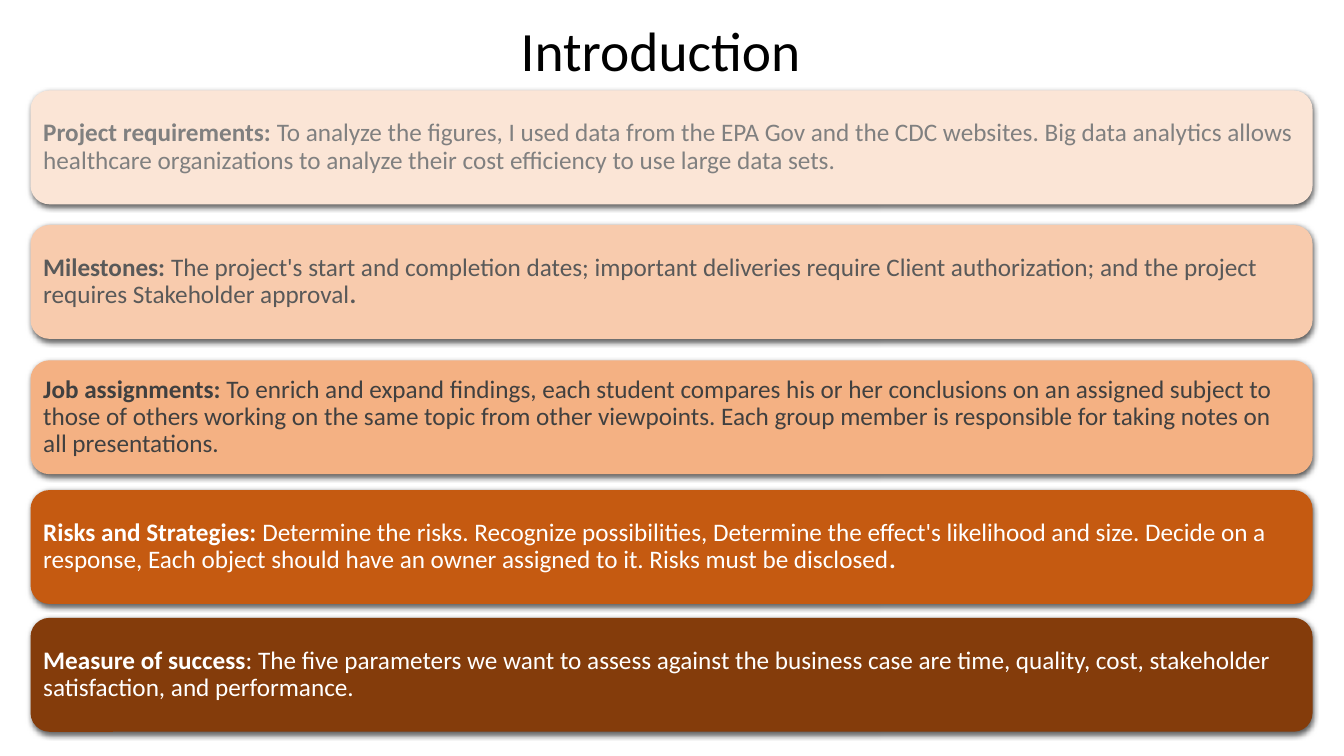
from dataclasses import dataclass

import pptx
import pptx.dml.color
import pptx.enum.shapes
import pptx.enum.text
import pptx.oxml
import pptx.oxml.ns
import pptx.util
from pptx.dml.color import RGBColor
from pptx.util import Cm

BLACK = RGBColor(0x00, 0x00, 0x00)
WHITE = RGBColor(0xFF, 0xFF, 0xFF)
GREY = RGBColor(0x80, 0x80, 0x80)
SLATE = RGBColor(0x59, 0x59, 0x59)
COAL = RGBColor(0x40, 0x40, 0x40)
CREAM = RGBColor(0xFB, 0xE5, 0xD6)
PEACH = RGBColor(0xF8, 0xCB, 0xAD)
APRICOT = RGBColor(0xF4, 0xB1, 0x83)
RUST = RGBColor(0xC5, 0x5A, 0x11)
BROWN = RGBColor(0x84, 0x3C, 0x0B)

FONT = "Calibri"
LEFT, WIDTH, HEIGHT = Cm(0.77), Cm(32.31), Cm(2.87)
INSET = Cm(0.18)

SHADOW = (
    f'<a:outerShdw {pptx.oxml.ns.nsdecls("a")} blurRad="57150" dist="19050" '
    'dir="5400000" algn="ctr" rotWithShape="0">'
    '<a:srgbClr val="000000"><a:alpha val="63000"/></a:srgbClr></a:outerShdw>'
)


@dataclass
class Panel:
    top: float
    fill: RGBColor
    ink: RGBColor
    head: str
    body: str
    end: str = ""


PANELS = [
    Panel(2.28, CREAM, GREY, "Project requirements: ",
          "To analyze the figures, I used data from the EPA Gov and the CDC "
          "websites. Big data analytics allows healthcare organizations to "
          "analyze their cost efficiency to use large data sets."),
    Panel(5.67, PEACH, SLATE, "Milestones: ",
          "The project's start and completion dates; important deliveries "
          "require Client authorization; and the project requires "
          "Stakeholder approval", "."),
    Panel(9.08, APRICOT, COAL, "Job assignments: ",
          "To enrich and expand findings, each student compares his or her "
          "conclusions on an assigned subject to those of others working on "
          "the same topic from other viewpoints. Each group member is "
          "responsible for taking notes on all presentations."),
    Panel(12.35, RUST, WHITE, "Risks and Strategies: ",
          "Determine the risks. Recognize possibilities, Determine the "
          "effect's likelihood and size. Decide on a response, Each object "
          "should have an owner assigned to it. Risks must be disclosed", "."),
    Panel(15.57, BROWN, WHITE, "Measure of success",
          ": The five parameters we want to assess against the business case "
          "are time, quality, cost, stakeholder satisfaction, and "
          "performance."),
]


def add_run(para, text: str, size: float, ink: RGBColor, bold: bool) -> None:
    run = para.add_run()
    run.text = text
    run.font.name = FONT
    run.font.size = pptx.util.Pt(size)
    run.font.bold = bold
    run.font.color.rgb = ink


def add_title(slide, text: str) -> None:
    title = slide.shapes.title
    title.left, title.top = Cm(12.6), Cm(0)
    title.width, title.height = Cm(8.69), Cm(2.72)
    frame = title.text_frame
    frame.auto_size = pptx.enum.text.MSO_AUTO_SIZE.NONE
    frame.vertical_anchor = pptx.enum.text.MSO_ANCHOR.MIDDLE
    frame.margin_right = Cm(0.85)
    para = frame.paragraphs[0]
    para.alignment = pptx.enum.text.PP_ALIGN.CENTER
    para.line_spacing = 0.9
    add_run(para, text, 39.6, BLACK, False)


def add_panel(slide, panel: Panel) -> None:
    shape = slide.shapes.add_shape(
        pptx.enum.shapes.MSO_SHAPE.ROUNDED_RECTANGLE,
        LEFT, Cm(panel.top), WIDTH, HEIGHT)
    shape.fill.solid()
    shape.fill.fore_color.rgb = panel.fill
    shape.line.fill.background()
    shape.shadow.inherit = False
    effects = shape._element.spPr.find(pptx.oxml.ns.qn("a:effectLst"))
    effects.append(pptx.oxml.parse_xml(SHADOW))

    frame = shape.text_frame
    frame.word_wrap = True
    frame.vertical_anchor = pptx.enum.text.MSO_ANCHOR.MIDDLE
    frame.margin_left = frame.margin_right = INSET
    frame.margin_top = frame.margin_bottom = INSET
    para = frame.paragraphs[0]
    para.alignment = pptx.enum.text.PP_ALIGN.LEFT
    para.line_spacing = 0.9
    for text, bold in ((panel.head, True), (panel.body, False), (panel.end, True)):
        if text:
            add_run(para, text, 18, panel.ink, bold)


def main() -> None:
    deck = pptx.Presentation()
    deck.slide_width, deck.slide_height = Cm(33.87), Cm(19.05)
    slide = deck.slides.add_slide(deck.slide_layouts[5])
    for panel in PANELS:
        add_panel(slide, panel)
    add_title(slide, "Introduction")
    deck.save("out.pptx")


if __name__ == "__main__":
    main()
